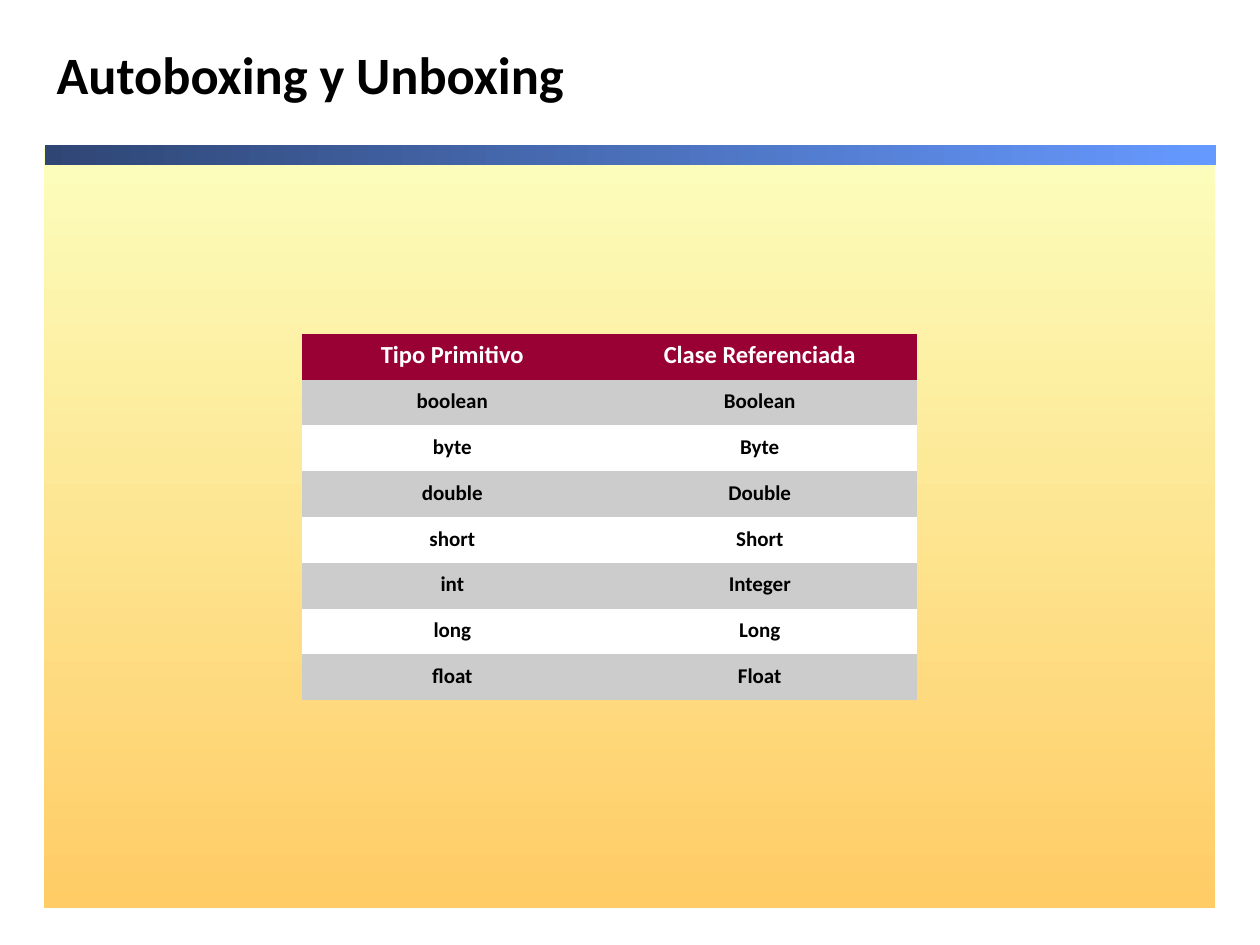
from dataclasses import dataclass

from pptx import Presentation
from pptx.dml.color import RGBColor
from pptx.enum.shapes import MSO_SHAPE
from pptx.enum.text import MSO_ANCHOR, PP_ALIGN
from pptx.slide import Slide
from pptx.util import Inches, Pt

BLACK = RGBColor(0x00, 0x00, 0x00)
WHITE = RGBColor(0xFF, 0xFF, 0xFF)
GREY = RGBColor(0xCC, 0xCC, 0xCC)
CRIMSON = RGBColor(0x99, 0x00, 0x33)
CREAM = RGBColor(0xFC, 0xFE, 0xBC)
AMBER = RGBColor(0xFF, 0xCC, 0x66)
SKY = RGBColor(0x66, 0x99, 0xFF)
NAVY = RGBColor(0x2F, 0x46, 0x75)

FONT = "Calibri"
LINE_SPACING = 0.8


@dataclass(frozen=True)
class GradientPanel:
    left: float
    top: float
    width: float
    height: float
    start: RGBColor
    end: RGBColor
    angle: int


@dataclass(frozen=True)
class TypePair:
    primitive: str
    wrapper: str


PANELS = [
    GradientPanel(0.35, 1.17, 9.29, 6.04, CREAM, AMBER, 270),
    GradientPanel(0.36, 1.15, 9.29, 0.16, SKY, NAVY, 180),
]
COLUMN_WIDTHS = [2.38, 2.5]
TYPE_PAIRS = [
    TypePair("Tipo Primitivo", "Clase Referenciada"),
    TypePair("boolean", "Boolean"),
    TypePair("byte", "Byte"),
    TypePair("double", "Double"),
    TypePair("short", "Short"),
    TypePair("int", "Integer"),
    TypePair("long", "Long"),
    TypePair("float", "Float"),
]


def format_paragraph(paragraph, size: int, color: RGBColor, alignment: PP_ALIGN) -> None:
    paragraph.alignment = alignment
    paragraph.line_spacing = LINE_SPACING
    paragraph.font.name = FONT
    paragraph.font.size = Pt(size)
    paragraph.font.bold = True
    paragraph.font.color.rgb = color


def draw_panel(slide: Slide, panel: GradientPanel) -> None:
    rectangle = slide.shapes.add_shape(
        MSO_SHAPE.RECTANGLE,
        Inches(panel.left), Inches(panel.top), Inches(panel.width), Inches(panel.height),
    )
    rectangle.shadow.inherit = False
    rectangle.line.fill.background()
    rectangle.fill.gradient()
    rectangle.fill.gradient_angle = panel.angle
    for stop, color in zip(rectangle.fill.gradient_stops, (panel.start, panel.end)):
        stop.color.rgb = color


def write_title(slide: Slide, wording: str) -> None:
    title = slide.shapes.title
    title.left, title.top = Inches(0.35), Inches(0.17)
    title.width, title.height = Inches(9.23), Inches(0.92)
    title.text_frame.text = wording
    title.text_frame.vertical_anchor = MSO_ANCHOR.MIDDLE
    format_paragraph(title.text_frame.paragraphs[0], 30, BLACK, PP_ALIGN.LEFT)


def draw_type_table(slide: Slide, pairs: list[TypePair]) -> None:
    table = slide.shapes.add_table(
        len(pairs), len(COLUMN_WIDTHS),
        Inches(2.4), Inches(2.65), Inches(sum(COLUMN_WIDTHS)), Inches(2.91),
    ).table
    for column, width in zip(table.columns, COLUMN_WIDTHS):
        column.width = Inches(width)
    for row_index, pair in enumerate(pairs):
        if row_index == 0:
            background, color, size = CRIMSON, WHITE, 14
        else:
            background, color, size = (GREY if row_index % 2 else WHITE), BLACK, 12
        for cell, wording in zip(table.rows[row_index].cells, (pair.primitive, pair.wrapper)):
            cell.text = wording
            cell.vertical_anchor = MSO_ANCHOR.MIDDLE
            cell.fill.solid()
            cell.fill.fore_color.rgb = background
            format_paragraph(cell.text_frame.paragraphs[0], size, color, PP_ALIGN.CENTER)
    for border in table._tbl.tblPr.findall("{*}tableStyleId"):
        border.text = "{2D5ABB26-0587-4C30-8999-92F81FD0307C}"


def main() -> None:
    presentation = Presentation()
    presentation.slide_width = Inches(10)
    presentation.slide_height = Inches(7.5)
    slide = presentation.slides.add_slide(presentation.slide_layouts[5])
    for panel in PANELS:
        draw_panel(slide, panel)
    write_title(slide, "Autoboxing y Unboxing")
    draw_type_table(slide, TYPE_PAIRS)
    presentation.save("out.pptx")


if __name__ == "__main__":
    main()
